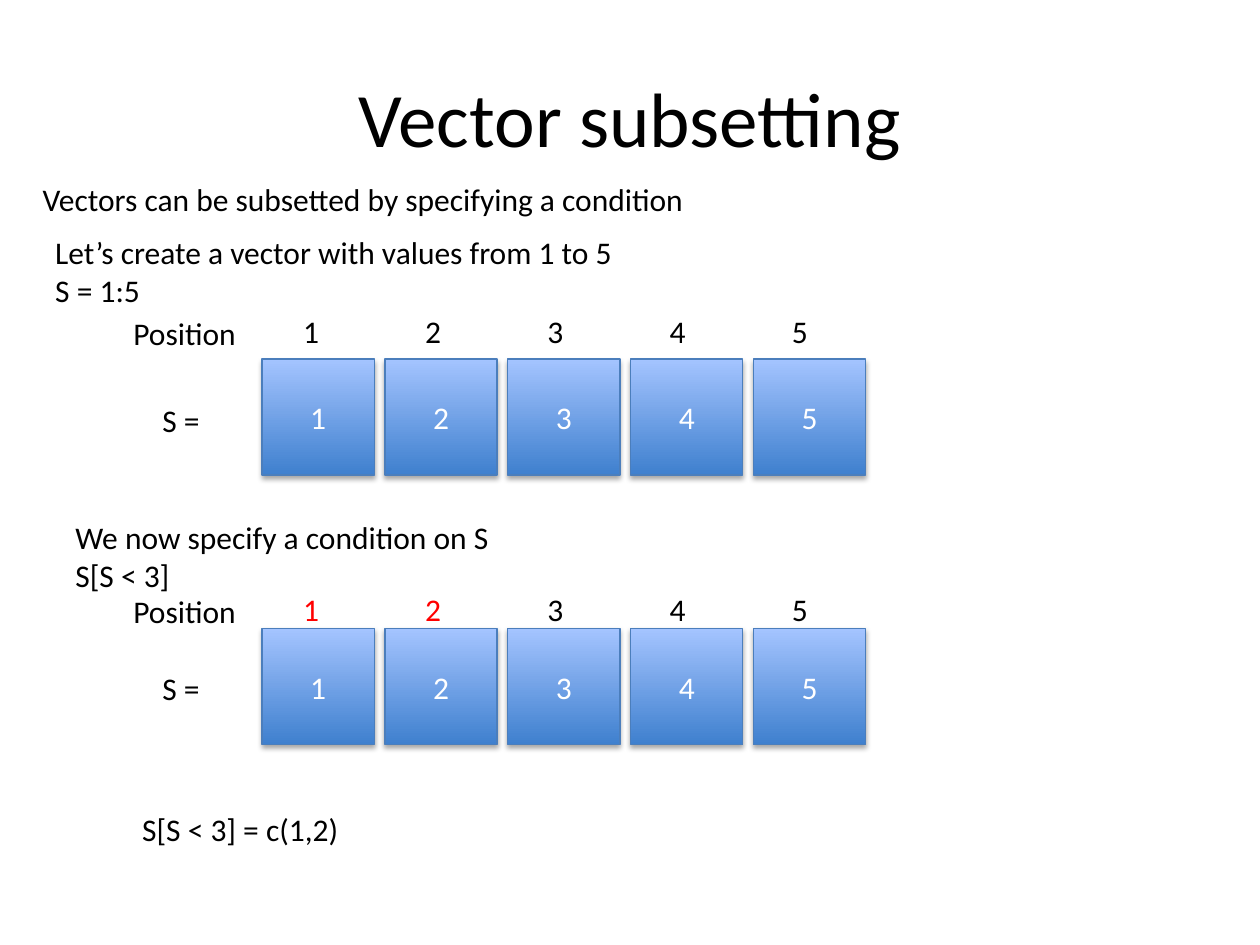
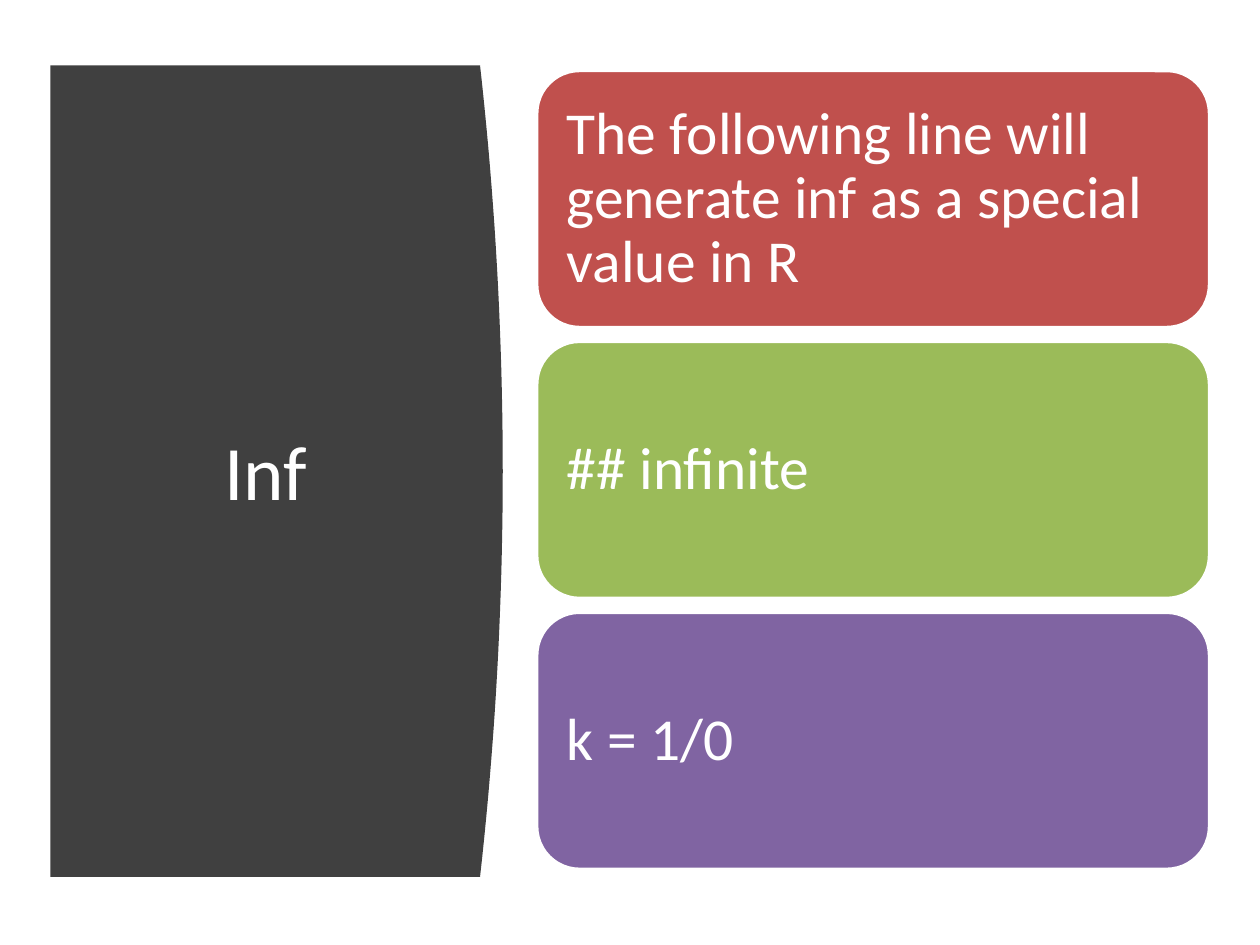
from lxml import etree
from pptx import Presentation
from pptx.dml.color import RGBColor
from pptx.enum.shapes import MSO_SHAPE
from pptx.enum.text import MSO_ANCHOR, MSO_AUTO_SIZE, PP_ALIGN
from pptx.oxml.ns import qn
from pptx.util import Inches, Pt

RECT, ROUNDED = MSO_SHAPE.RECTANGLE, MSO_SHAPE.ROUNDED_RECTANGLE
LEFT, CENTER = PP_ALIGN.LEFT, PP_ALIGN.CENTER
TOP, MIDDLE = MSO_ANCHOR.TOP, MSO_ANCHOR.MIDDLE
GROW = MSO_AUTO_SIZE.SHAPE_TO_FIT_TEXT

FONT = "Calibri"
BLACK, WHITE, RED = "000000", "FFFFFF", "FF0000"
CELL_DARK, CELL_LIGHT, CELL_EDGE = "3F80CE", "A4C4FF", "4B7EBC"
PANEL = "404040"


def rgb(hex_value):
    return RGBColor.from_string(hex_value)


def write(frame, text, size=18, color=BLACK, align=LEFT, anchor=TOP,
          wrap=True, inset=None, spacing=None, tabs=()):
    """Text is a string, one paragraph a line, or a list of (text, colour) runs."""
    frame.word_wrap = wrap
    frame.vertical_anchor = anchor
    if inset is not None:
        frame.margin_left = frame.margin_right = Inches(inset)
        frame.margin_top = frame.margin_bottom = Inches(inset)
    if isinstance(text, str):
        paragraphs = [[(line, color)] for line in text.split("\n")]
    else:
        paragraphs = [text]
    for index, runs in enumerate(paragraphs):
        paragraph = frame.add_paragraph() if index else frame.paragraphs[0]
        if tabs:
            properties = paragraph._p.get_or_add_pPr()
            tab_list = etree.SubElement(properties, qn("a:tabLst"))
            for stop in tabs:
                etree.SubElement(tab_list, qn("a:tab"), pos=str(Inches(stop)), algn="ctr")
        paragraph.alignment = align
        if spacing:
            paragraph.line_spacing = spacing
        for words, run_color in runs:
            run = paragraph.add_run()
            run.text = words
            run.font.name = FONT
            run.font.size = Pt(size)
            run.font.color.rgb = rgb(run_color)


class Deck:
    def __init__(self):
        self.prs = Presentation()
        self.prs.slide_width, self.prs.slide_height = Inches(10), Inches(7.5)
        self.slide = None

    def new_slide(self):
        self.slide = self.prs.slides.add_slide(self.prs.slide_layouts[5])

    def title(self, text, left, top, width, height, color=BLACK):
        title = self.slide.shapes.title
        title.left, title.top = Inches(left), Inches(top)
        title.width, title.height = Inches(width), Inches(height)
        write(title.text_frame, text, size=44, color=color, align=CENTER, anchor=MIDDLE)
        # Bring the title in front of what is already drawn
        self.slide.shapes._spTree.append(title._element)

    def label(self, text, left, top, width, height=0.4, **style):
        box = self.slide.shapes.add_textbox(
            Inches(left), Inches(top), Inches(width), Inches(height))
        write(box.text_frame, text, **style)
        box.text_frame.auto_size = GROW

    def block(self, kind, left, top, width, height, line, line_width):
        block = self.slide.shapes.add_shape(
            kind, Inches(left), Inches(top), Inches(width), Inches(height))
        block.shadow.inherit = False
        block.line.color.rgb = rgb(line)
        block.line.width = Pt(line_width)
        return block

    def cell(self, value, left, top):
        cell = self.block(RECT, left, top, 0.89, 0.92, CELL_EDGE, 0.75)
        cell.fill.gradient()
        cell.fill.gradient_angle = 90
        for stop, color in zip(cell.fill.gradient_stops, (CELL_DARK, CELL_LIGHT)):
            stop.color.rgb = rgb(color)
        # Soft shadow straight below the cell
        effects = cell._element.spPr.find(qn("a:effectLst"))
        shadow = etree.SubElement(effects, qn("a:outerShdw"), blurRad=str(Pt(3.1)),
                                  dist=str(Pt(1.8)), dir="5400000", rotWithShape="0")
        shade = etree.SubElement(shadow, qn("a:srgbClr"), val=BLACK)
        etree.SubElement(shade, qn("a:alpha"), val="35000")
        write(cell.text_frame, str(value), color=WHITE, align=CENTER, anchor=MIDDLE)

    def vector(self, position_top, numbers_top, name_top, cells_top, selected=()):
        values = range(1, 6)
        for index, value in enumerate(values):
            self.cell(value, 2.08 + 0.975 * index, cells_top)
        self.label("S =", 1.19, name_top, 0.56, wrap=False)
        self.label("Position", 0.96, position_top, 1.02, wrap=False)
        numbers = [(f"\t{value}", RED if value in selected else BLACK) for value in values]
        stops = [0.29 + 0.97 * index for index in range(len(values))]
        self.label(numbers, 2.08, numbers_top, 4.79, tabs=stops)

    def card(self, text, top, color):
        card = self.block(ROUNDED, 4.26, top, 5.34, 2.04, WHITE, 2)
        card.fill.solid()
        card.fill.fore_color.rgb = rgb(color)
        write(card.text_frame, text, size=34, color=WHITE, anchor=MIDDLE,
              inset=0.14, spacing=0.9)

    def curved_panel(self, left, top, edge, bottom, bulge, color, steps=40):
        middle, half = (top + bottom) / 2, (bottom - top) / 2
        points = []
        for step in range(steps + 1):
            y = top + (bottom - top) * step / steps
            x = edge + bulge * (1 - ((y - middle) / half) ** 2)
            points.append((Inches(x), Inches(y)))
        points.append((Inches(left), Inches(bottom)))
        outline = self.slide.shapes.build_freeform(Inches(left), Inches(top))
        outline.add_line_segments(points, close=True)
        panel = outline.convert_to_shape()
        panel.shadow.inherit = False
        panel.fill.solid()
        panel.fill.fore_color.rgb = rgb(color)
        panel.line.fill.background()


def subsetting_slide(deck):
    deck.new_slide()
    deck.title("Vector subsetting", 0.5, 0.3, 9, 1.25)
    deck.label("Vectors can be subsetted by specifying a condition", 0.24, 1.38, 9.26)

    # The whole vector
    deck.vector(position_top=2.44, numbers_top=2.43, name_top=3.13, cells_top=2.85)
    deck.label("Let’s create a vector with values from 1 to 5\nS = 1:5",
               0.34, 1.8, 4.67, 0.71, wrap=False)

    # The vector under a condition
    deck.label("We now specify a condition on S\nS[S < 3]",
               0.5, 4.06, 3.59, 0.71, wrap=False)
    deck.vector(position_top=4.65, numbers_top=4.63, name_top=5.26, cells_top=4.99,
                selected=(1, 2))
    deck.label("S[S < 3] = c(1,2)", 1.03, 6.38, 1.78, wrap=False)


def infinity_slide(deck):
    deck.new_slide()

    # Title on a dark panel with a bulging right edge
    deck.curved_panel(0.4, 0.52, 3.81, 6.96, 0.18, PANEL)
    deck.title("Inf", 0.71, 1.11, 2.8, 5.24, color=WHITE)

    # Stacked cards
    cards = [
        ("The following line will generate inf as a special value in R", "C0504D"),
        ("## infinite", "9BBB59"),
        ("k = 1/0", "8064A2"),
    ]
    for index, (text, color) in enumerate(cards):
        deck.card(text, 0.56 + 2.15 * index, color)


def main():
    deck = Deck()
    subsetting_slide(deck)
    infinity_slide(deck)
    deck.prs.save("out.pptx")


if __name__ == "__main__":
    main()
